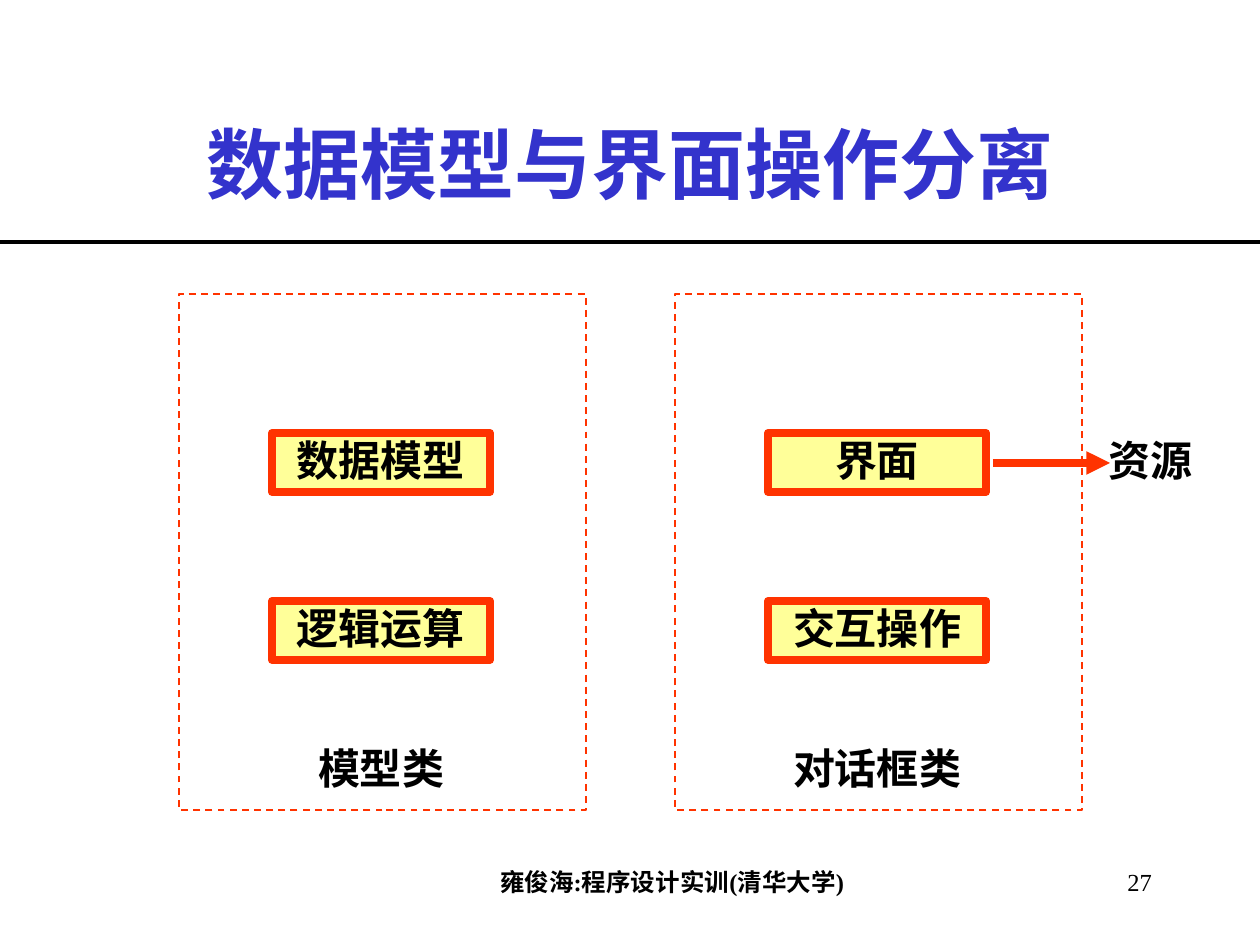
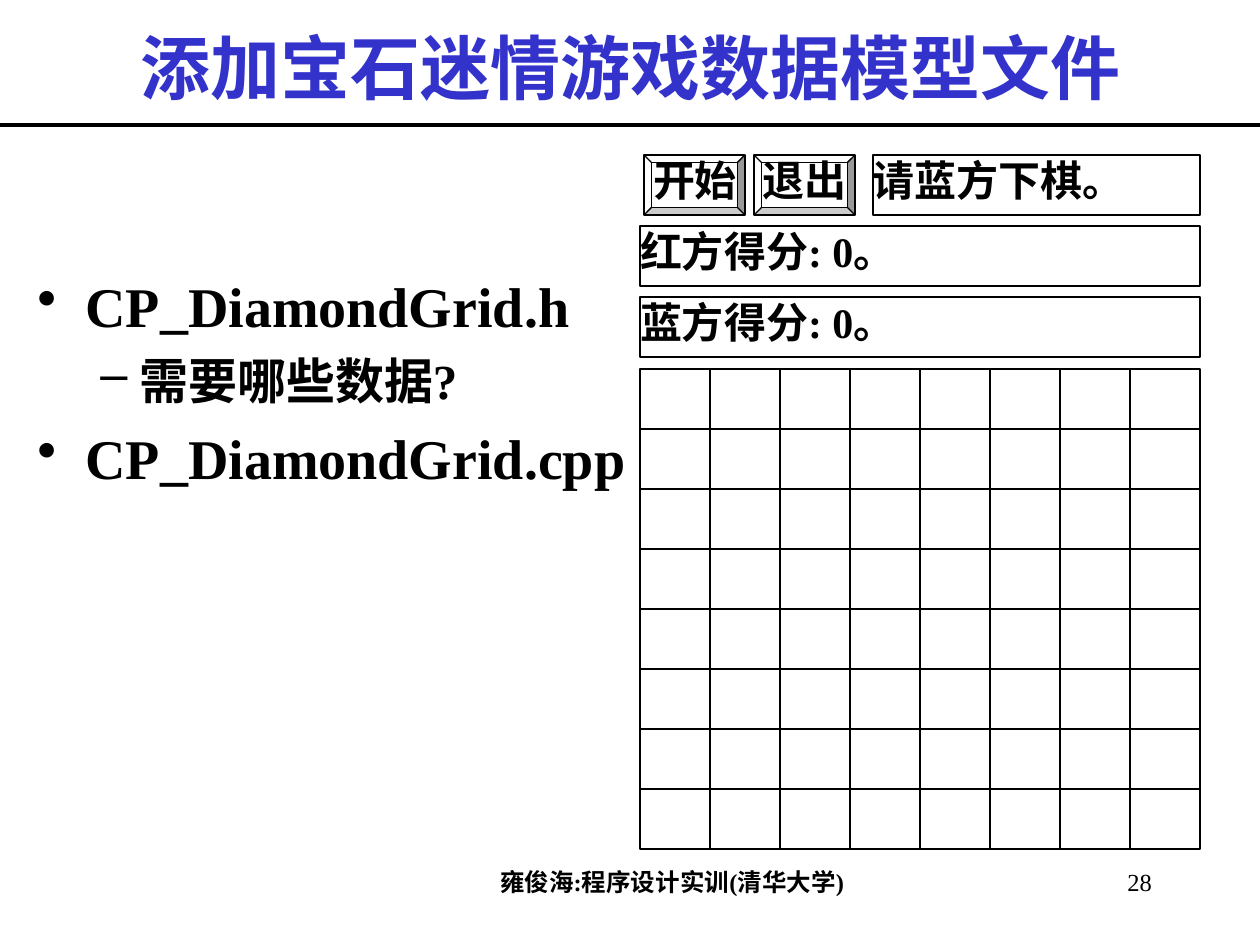
from dataclasses import dataclass
from itertools import product

from lxml import etree
from pptx import Presentation
from pptx.dml.color import RGBColor
from pptx.enum.dml import MSO_LINE
from pptx.enum.shapes import MSO_CONNECTOR, MSO_SHAPE
from pptx.enum.text import MSO_ANCHOR, MSO_AUTO_SIZE, PP_ALIGN
from pptx.oxml.ns import qn
from pptx.util import Inches, Pt

LEFT, CENTER, RIGHT = PP_ALIGN.LEFT, PP_ALIGN.CENTER, PP_ALIGN.RIGHT
TOP, MIDDLE = MSO_ANCHOR.TOP, MSO_ANCHOR.MIDDLE
RECT, BEVEL = MSO_SHAPE.RECTANGLE, MSO_SHAPE.BEVEL
STRAIGHT = MSO_CONNECTOR.STRAIGHT
DASH = MSO_LINE.DASH
FIXED = MSO_AUTO_SIZE.NONE
SCALE = Inches(1) / 126


@dataclass(frozen=True)
class Theme:
    font: str = "Times New Roman"
    ink: str = "000000"
    title: str = "3333CC"
    accent: str = "FF3300"
    box: str = "FFFF99"
    paper: str = "FFFFFF"
    label: int = 24
    small: int = 14
    thin: float = 0.75
    frame: float = 1
    rule: float = 2.25
    thick: float = 4.5
    footer: str = "雍俊海:程序设计实训(清华大学)"


def emu(*sizes):
    return [round(size * SCALE) for size in sizes]


class Deck:
    def __init__(self, theme):
        self.theme = theme
        self.show = Presentation()
        self.show.slide_width, self.show.slide_height = emu(1260, 945)
        self.slide = None

    def start(self, title, top, height, size, rule, number):
        self.slide = self.show.slides.add_slide(self.show.slide_layouts[5])
        head = self.slide.shapes.title
        head.left, head.top, head.width, head.height = emu(95, top, 1071, height)
        head.text_frame.auto_size = FIXED
        self.label(head, title, size, color=self.theme.title, anchor=MIDDLE)
        self.line(0, rule, 1260, rule, self.theme.ink, self.theme.rule)
        foot = self.text((258, 861, 828, 43), self.theme.footer,
                         self.theme.small, inset=(0, 6))
        foot.text_frame.paragraphs[0].space_before = Pt(8.8)
        self.text((903, 861, 262, 63), str(number), self.theme.small,
                  align=RIGHT, bold=False, inset=(13, 6))

    def style(self, par, size, color=None, align=CENTER, bold=True):
        par.alignment = align
        font = par.font
        font.name, font.size, font.bold = self.theme.font, Pt(size), bold
        font.color.rgb = RGBColor.from_string(color or self.theme.ink)

    def label(self, shape, words, size, color=None, align=CENTER, bold=True,
              anchor=TOP, inset=(13, 6), pitch=None):
        frame = shape.text_frame
        frame.word_wrap = True
        frame.vertical_anchor = anchor
        across, down = emu(*inset)
        frame.margin_left = frame.margin_right = across
        frame.margin_top = frame.margin_bottom = down
        par = frame.paragraphs[0]
        par.text = words
        par.line_spacing = pitch
        self.style(par, size, color, align, bold)

    def text(self, area, words, size, **look):
        box = self.slide.shapes.add_textbox(*emu(*area))
        self.label(box, words, size, **look)
        return box

    def shape(self, area, fill=None, color=None, width=None, dash=None, kind=RECT):
        item = self.slide.shapes.add_shape(kind, *emu(*area))
        item.shadow.inherit = False
        if fill:
            item.fill.solid()
            item.fill.fore_color.rgb = RGBColor.from_string(fill)
        else:
            item.fill.background()
        item.line.color.rgb = RGBColor.from_string(color or self.theme.ink)
        item.line.width = Pt(width or self.theme.thin)
        if dash:
            item.line.dash_style = dash
        return item

    def line(self, x1, y1, x2, y2, color, width, arrow=False):
        item = self.slide.shapes.add_connector(STRAIGHT, *emu(x1, y1, x2, y2))
        item.line.color.rgb = RGBColor.from_string(color)
        item.line.width = Pt(width)
        props = item._element.spPr
        if arrow:
            etree.SubElement(props.find(qn("a:ln")), qn("a:tailEnd"), type="triangle")
        etree.SubElement(props, qn("a:effectLst"))

    def bullets(self, area, items):
        levels = (("•", 48, 48, 32, 8), ("–", 102, 39, 28, 7))
        frame = self.slide.shapes.add_textbox(*emu(*area)).text_frame
        frame.word_wrap = True
        for index, (level, words) in enumerate(items):
            mark, margin, hang, size, gap = levels[level]
            par = frame.add_paragraph() if index else frame.paragraphs[0]
            par.text = words
            par.level = level
            par.space_before = Pt(gap)
            self.style(par, size, align=LEFT)
            props = par._p.get_or_add_pPr()
            left, indent = emu(margin, -hang)
            props.set("marL", str(left))
            props.set("indent", str(indent))
            bullet = etree.Element(qn("a:buChar"), char=mark)
            props.find(qn("a:defRPr")).addprevious(bullet)


def split(deck):
    theme = deck.theme
    deck.start("数据模型与界面操作分离", 84, 158, 44, 242, 27)
    look = dict(anchor=MIDDLE, inset=(5, 0), pitch=0.95)
    groups = (
        (179, ("数据模型", "逻辑运算"), "模型类"),
        (675, ("界面", "交互操作"), "对话框类"),
    )
    for left, parts, name in groups:
        deck.shape((left, 294, 407, 516), None, theme.accent, theme.frame, DASH)
        for row, part in enumerate(parts):
            box = deck.shape((left + 93, 433 + row * 168, 218, 59),
                             theme.box, theme.accent, theme.thick)
            deck.label(box, part, theme.label, **look)
        deck.text((left + 93, 741, 218, 59), name, theme.label, **look)
    deck.text((1042, 433, 218, 59), "资源", theme.label, **look)
    deck.line(993, 463, 1110, 463, theme.accent, theme.thick, arrow=True)


def game(deck):
    theme = deck.theme
    deck.start("添加宝石迷情游戏数据模型文件", 26, 80, 40, 125, 28)
    deck.bullets((25, 265, 625, 567), (
        (0, "CP_DiamondGrid.h"),
        (1, "需要哪些数据?"),
        (0, "CP_DiamondGrid.cpp"),
    ))
    fields = (
        (873, 155, 327, "请蓝方下棋。"),
        (640, 226, 560, "红方得分: 0。"),
        (640, 297, 560, "蓝方得分: 0。"),
    )
    for left, top, width, words in fields:
        field = deck.shape((left, top, width, 60))
        deck.label(field, words, theme.label, align=LEFT, inset=(0, 0))
    for index, words in enumerate(("开始", "退出")):
        left = 640 + index * 110
        deck.shape((left + 4, 155, 101, 60), theme.paper, kind=BEVEL)
        deck.text((left, 155, 110, 60), words, theme.label, inset=(0, 0))
    for row, col in product(range(8), repeat=2):
        deck.shape((640 + col * 70, 369 + row * 60, 70, 60), theme.paper)


def main():
    deck = Deck(Theme())
    split(deck)
    game(deck)
    deck.show.save("out.pptx")


if __name__ == "__main__":
    main()
